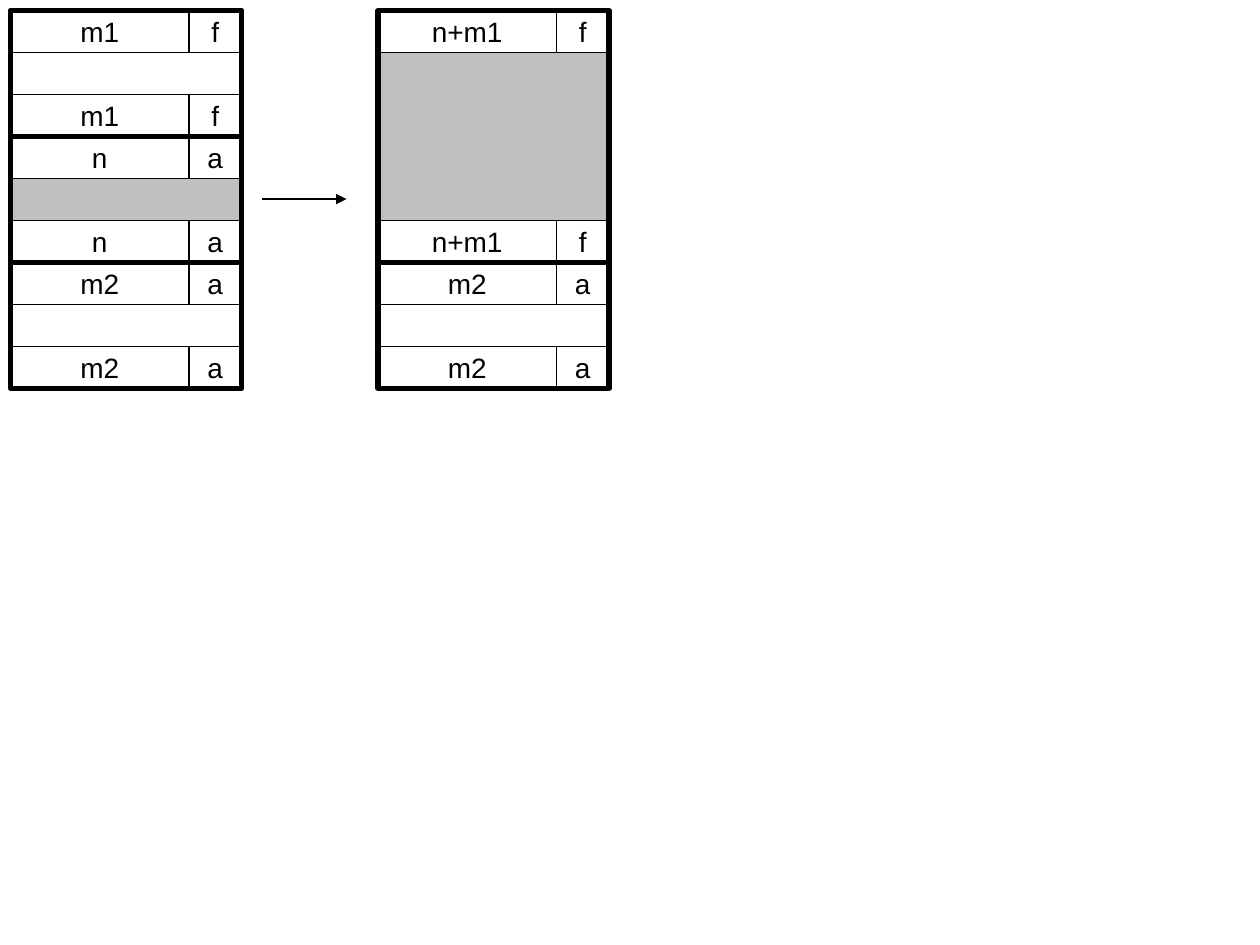
from lxml import etree
from pptx import Presentation
from pptx.dml.color import RGBColor
from pptx.enum.shapes import MSO_CONNECTOR, MSO_SHAPE
from pptx.enum.text import MSO_ANCHOR, PP_ALIGN
from pptx.oxml.ns import qn
from pptx.util import Inches, Pt

RECT = MSO_SHAPE.RECTANGLE
STRAIGHT = MSO_CONNECTOR.STRAIGHT
MIDDLE = MSO_ANCHOR.MIDDLE
CENTER = PP_ALIGN.CENTER

COLORS = {"black": "000000", "white": "FFFFFF", "gray": "C0C0C0"}
RGB = {name: RGBColor.from_string(value) for name, value in COLORS.items()}
FONT = {"name": "Arial", "size": Pt(16)}

ROW = 1 / 3
TOP = 1 / 12
SIZE_W = 17 / 12
FLAG_W = 5 / 12
BLOCK_W = SIZE_W + FLAG_W
LEFT_X, RIGHT_X = 1 / 12, 3

prs = Presentation()
prs.slide_width, prs.slide_height = Inches(10), Inches(7.5)
s = prs.slides.add_slide(prs.slide_layouts[6])


def add_box(x, y, w, h, fill=None, text="", line=1):
    sp = s.shapes.add_shape(RECT, Inches(x), Inches(y), Inches(w), Inches(h))
    sp.shadow.inherit = False
    sp.line.color.rgb = RGB["black"]
    sp.line.width = Pt(line)
    if fill:
        sp.fill.solid()
        sp.fill.fore_color.rgb = RGB[fill]
    else:
        sp.fill.background()
    if text:
        tf = sp.text_frame
        tf.word_wrap = False
        tf.vertical_anchor = MIDDLE
        p = tf.paragraphs[0]
        p.alignment = CENTER
        r = p.add_run()
        r.text = text
        for key, value in FONT.items():
            setattr(r.font, key, value)
        r.font.color.rgb = RGB["black"]


blocks = [
    (LEFT_X, 0, 1, "m1", "f", "white"),
    (LEFT_X, 3, 1, "n", "a", "gray"),
    (LEFT_X, 6, 1, "m2", "a", "white"),
    (RIGHT_X, 0, 4, "n+m1", "f", "gray"),
    (RIGHT_X, 6, 1, "m2", "a", "white"),
]
for x, first_row, body_rows, size, flag, body_fill in blocks:
    y = TOP + first_row * ROW
    footer_y = y + (body_rows + 1) * ROW
    add_box(x, y + ROW, BLOCK_W, body_rows * ROW, body_fill)
    for tag_y in (y, footer_y):
        add_box(x, tag_y, SIZE_W, ROW, "white", size)
        add_box(x + SIZE_W, tag_y, FLAG_W, ROW, "white", flag)
    add_box(x, y, BLOCK_W, (body_rows + 2) * ROW, line=3)

arrow = s.shapes.add_connector(
    STRAIGHT, Inches(2.08), Inches(1.58), Inches(2.75), Inches(1.58))
arrow.line.color.rgb = RGB["black"]
arrow.line.width = Pt(1)
etree.SubElement(arrow.line._get_or_add_ln(), qn("a:tailEnd"), type="triangle")
etree.SubElement(arrow._element.spPr, qn("a:effectLst"))

prs.save("out.pptx")
